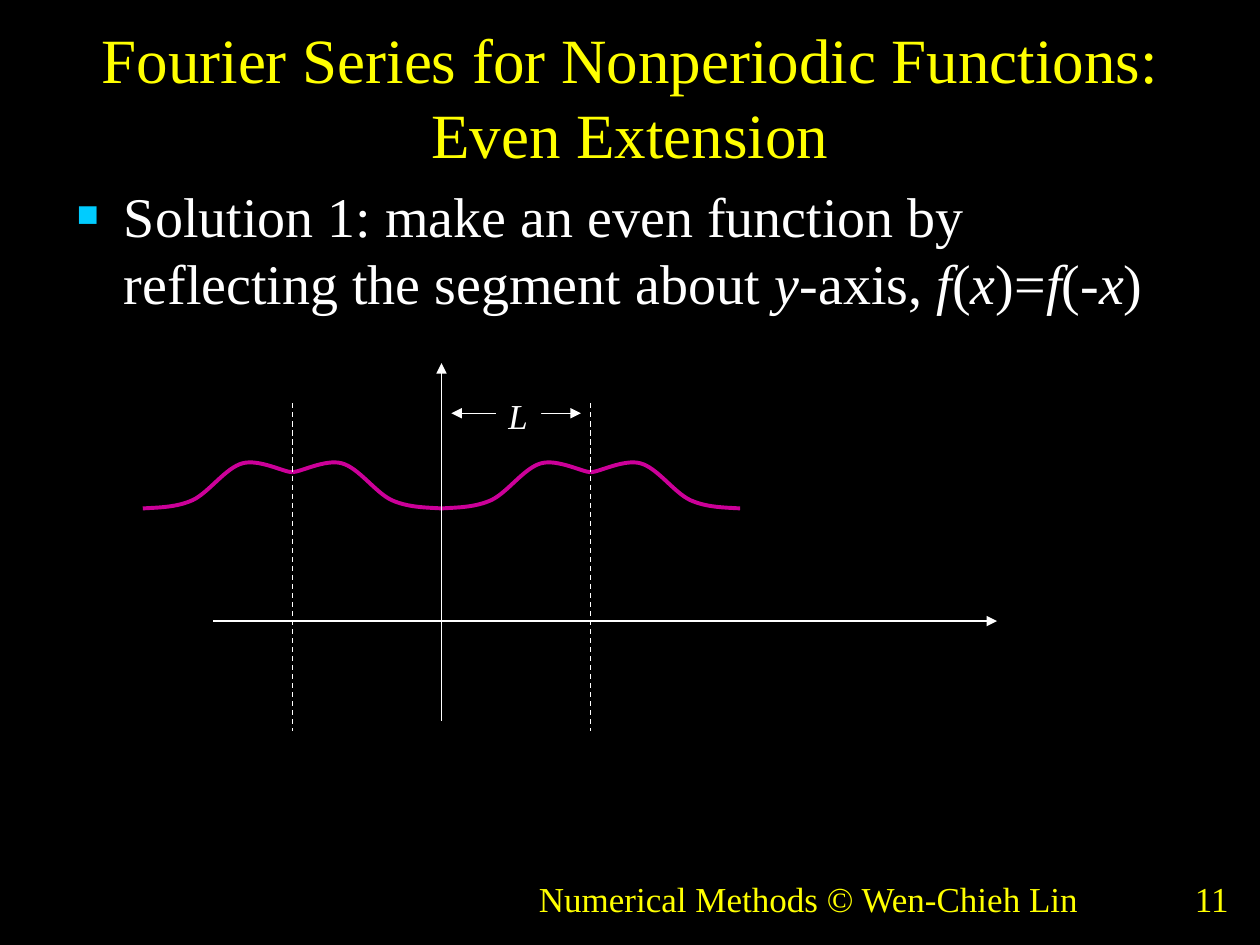
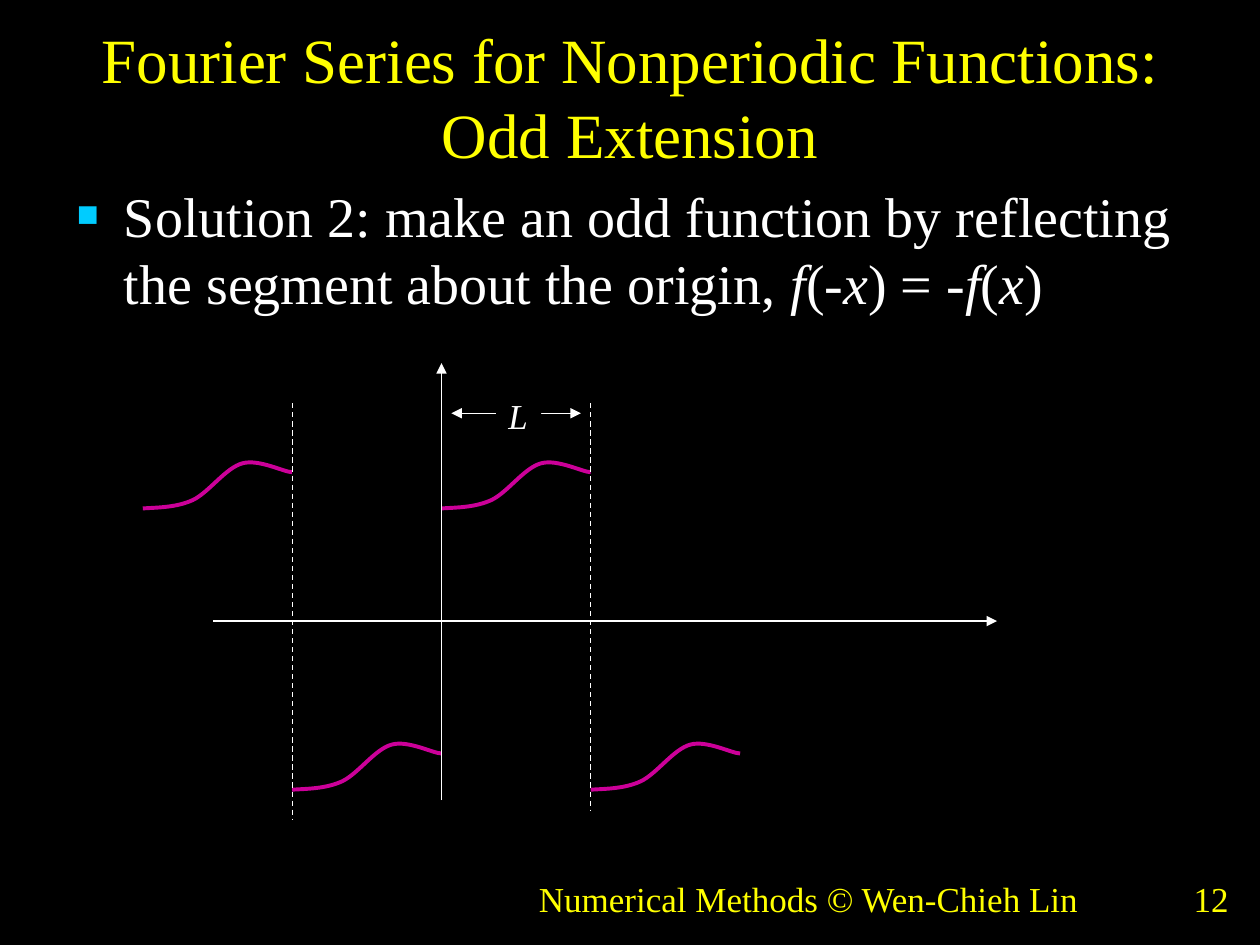
from dataclasses import dataclass
from typing import Any

from lxml.etree import SubElement
from pptx import Presentation
from pptx.dml.color import RGBColor
from pptx.enum.dml import MSO_LINE
from pptx.enum.shapes import MSO_CONNECTOR, MSO_SHAPE
from pptx.enum.text import MSO_ANCHOR, MSO_AUTO_SIZE, PP_ALIGN
from pptx.oxml.ns import qn
from pptx.util import Cm, Pt

FONT = "Times New Roman"
BLACK, WHITE, YELLOW = "000000", "FFFFFF", "FFFF00"
CYAN, PINK = "00CCFF", "CC0099"
FOOTER = "Numerical Methods © Wen-Chieh Lin"

# The graph, in centimetres
MID_X, AXIS_Y = 8.9, 12.52
STEP = 3.01  # the length L
HIGH, LOW = 10.25, 15.92  # where curves start
# Bezier points of one segment, seen from its start
WAVE = [(0.33, -0.02), (0.68, -0.02), (1.01, -0.17),
        (1.34, -0.33), (1.67, -0.82), (2.01, -0.91),
        (2.34, -1), (2.85, -0.73), (STEP, -0.73)]


@dataclass
class Curve:
    """One segment: start in steps from the y-axis, height, direction."""
    start: int
    base: float
    way: int = 1


@dataclass
class Page:
    """What differs from slide to slide; ends are the feet of lines."""
    number: int
    title: str
    body: str
    axis_end: float
    left_end: float
    right_end: float
    curves: list[Curve]


PAGES = [
    Page(11, "Fourier Series for Nonperiodic Functions: Even Extension",
         "Solution 1: make an even function by reflecting the segment "
         "about *y*-axis, *f*(*x*)=*f*(-*x*)",
         14.53, 14.73, 14.73,
         [Curve(-2, HIGH), Curve(0, HIGH, -1),
          Curve(0, HIGH), Curve(2, HIGH, -1)]),
    Page(12, "Fourier Series for Nonperiodic Functions:\vOdd Extension",
         "Solution 2: make an odd function by reflecting the segment "
         "about the origin, *f*(-*x*) = -*f*(*x*)",
         16.13, 16.54, 16.33,
         [Curve(-2, HIGH), Curve(-1, LOW),
          Curve(0, HIGH), Curve(1, LOW)]),
]


def color(code: str) -> RGBColor:
    """Turn a hex string into a colour."""
    return RGBColor.from_string(code)


def write(shape: Any, text: str, *, size: int, ink: str = WHITE,
          align: PP_ALIGN = PP_ALIGN.LEFT, wrap: bool = True,
          anchor: MSO_ANCHOR = MSO_ANCHOR.TOP, bullet: bool = False) -> None:
    """Fill a shape with one paragraph; *stars* enclose italics."""
    frame = shape.text_frame
    frame.auto_size = MSO_AUTO_SIZE.NONE
    frame.word_wrap, frame.vertical_anchor = wrap, anchor
    para = frame.paragraphs[0]
    para.alignment = align
    for i, part in enumerate(text.split("*")):
        for j, line in enumerate(part.split("\v")):
            if j:
                para.add_line_break()
            if line:
                run = para.add_run()
                run.text = line
                font = run.font
                font.name, font.size = FONT, Pt(size)
                font.italic = i % 2 == 1
                font.color.rgb = color(ink)
    if bullet:
        para.space_before = Pt(size * 0.2)
        mark(para)


def mark(para: Any) -> None:
    """Give a paragraph a square bullet and a hanging indent."""
    props = para._p.get_or_add_pPr()
    props.set("marL", str(Cm(0.95)))
    props.set("indent", str(-Cm(0.95)))
    tint = SubElement(props, qn("a:buClr"))
    SubElement(tint, qn("a:srgbClr"), val=CYAN)
    SubElement(props, qn("a:buSzPct"), val="65000")
    SubElement(props, qn("a:buFont"), typeface=FONT)
    SubElement(props, qn("a:buChar"), char="■")


def label(slide: Any, box: tuple, text: str, **style: Any) -> None:
    """Add a text box; box is left, top, width, height."""
    write(slide.shapes.add_textbox(*map(Cm, box)), text, **style)


def rule(slide: Any, start: tuple, end: tuple, *, dash: bool = False,
         head: bool = False, tail: bool = False) -> None:
    """Draw a thin white line, dashed or with arrowheads."""
    link = slide.shapes.add_connector(
        MSO_CONNECTOR.STRAIGHT, *map(Cm, start + end))
    link.line.color.rgb = color(WHITE)
    link.line.width = Pt(0.75)
    if dash:
        link.line.dash_style = MSO_LINE.DASH
    props = link.element.spPr
    pen = props.get_or_add_ln()
    for tag, used in (("a:headEnd", head), ("a:tailEnd", tail)):
        if used:
            SubElement(pen, qn(tag), type="triangle")
    SubElement(props, qn("a:effectLst"))


def wave(slide: Any, curve: Curve) -> None:
    """Draw one segment of the function as a smooth outline."""
    left = MID_X + curve.start * STEP
    pen = slide.shapes.build_freeform(Cm(left), Cm(curve.base))
    pen.add_line_segments(
        [(Cm(left + curve.way * x), Cm(curve.base + y)) for x, y in WAVE],
        close=False)
    shape = pen.convert_to_shape()
    shape.shadow.inherit = False
    shape.fill.background()
    shape.line.color.rgb = color(PINK)
    shape.line.width = Pt(2.25)
    # Join each three straight parts into one Bezier part
    parts = list(shape.element.iter(qn("a:lnTo")))
    for i in range(0, len(parts), 3):
        trace = parts[i].getparent()
        bend = SubElement(trace, qn("a:cubicBezTo"))
        for part in parts[i:i + 3]:
            bend.append(part[0])
            trace.remove(part)


def graph(slide: Any, page: Page) -> None:
    """Draw the curves, the axes, the borders and the length L."""
    for curve in page.curves:
        wave(slide, curve)
    rule(slide, (4.3, AXIS_Y), (20.1, AXIS_Y), tail=True)
    rule(slide, (MID_X, page.axis_end), (MID_X, 7.32), tail=True)
    for side, end in ((1, page.right_end), (-1, page.left_end)):
        edge = MID_X + side * STEP
        rule(slide, (edge, 8.13), (edge, end), dash=True)
    rule(slide, (MID_X + 0.2, 8.33), (MID_X + STEP - 0.2, 8.33),
         head=True, tail=True)
    box = slide.shapes.add_shape(
        MSO_SHAPE.RECTANGLE, *map(Cm, (10, 7.82, 0.91, 1.1)))
    box.shadow.inherit = False
    box.fill.solid()
    box.fill.fore_color.rgb = color(BLACK)
    box.line.fill.background()
    write(box, "*L*", size=20, wrap=False)


def build(deck: Any, page: Page) -> None:
    """Add one slide with title, text, graph and footer."""
    slide = deck.slides.add_slide(deck.slide_layouts[5])
    title = slide.shapes.title
    title.left, title.top = Cm(1.27), Cm(0.33)
    title.width, title.height = Cm(22.86), Cm(3.2)
    write(title, page.title, size=36, ink=YELLOW,
          align=PP_ALIGN.CENTER, anchor=MSO_ANCHOR.MIDDLE)
    label(slide, (1.3, 3.53, 22.86, 14), page.body, size=32, bullet=True)
    graph(slide, page)
    foot = {"size": 20, "ink": YELLOW, "anchor": MSO_ANCHOR.BOTTOM}
    label(slide, (8.3, 17.35, 16, 1.32), FOOTER,
          align=PP_ALIGN.CENTER, **foot)
    label(slide, (19.1, 17.35, 5.92, 1.32), str(page.number),
          align=PP_ALIGN.RIGHT, **foot)


def main() -> None:
    """Build and save the deck."""
    deck = Presentation()
    deck.slide_width, deck.slide_height = Cm(25.4), Cm(19.05)
    back = deck.slide_master.background.fill
    back.solid()
    back.fore_color.rgb = color(BLACK)
    for page in PAGES:
        build(deck, page)
    deck.save("out.pptx")


main()
